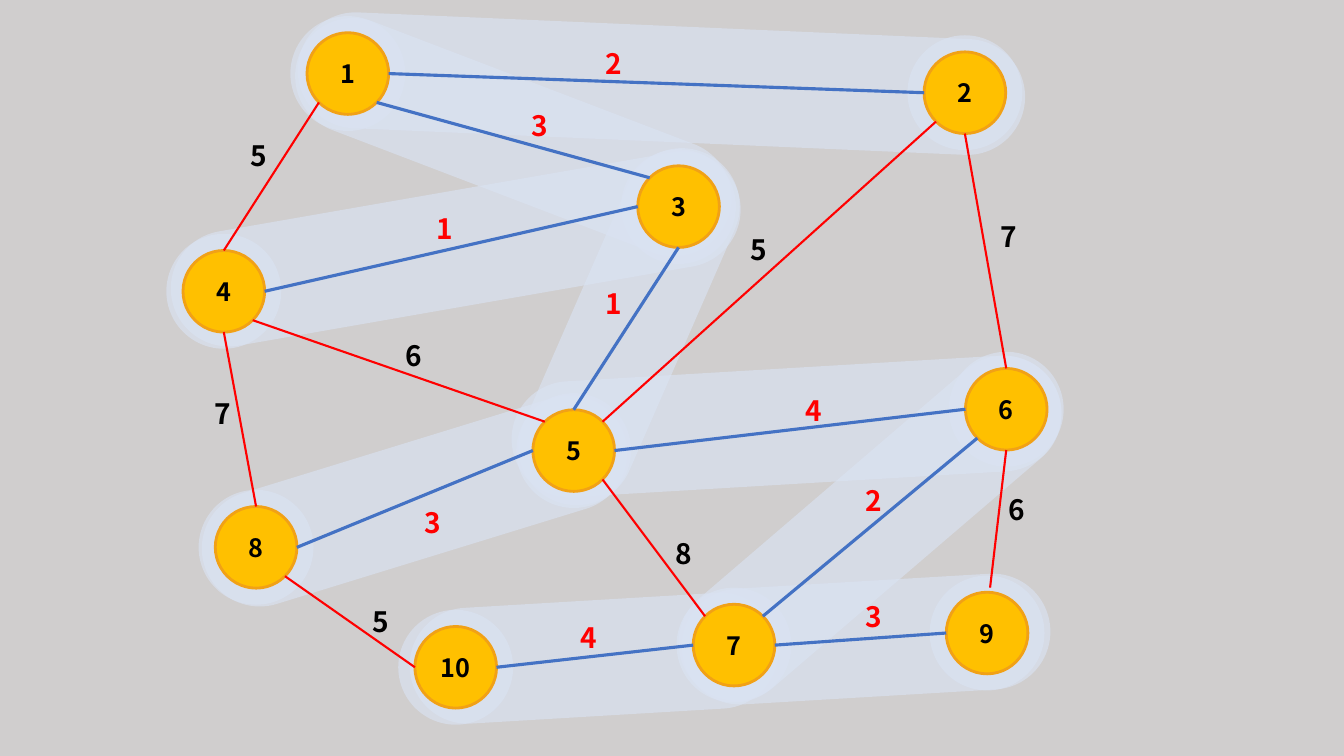
import math
from dataclasses import dataclass

from lxml import etree
from pptx import Presentation
from pptx import util as u
from pptx.dml.color import RGBColor
from pptx.enum import shapes, text
from pptx.oxml.ns import qn


@dataclass(frozen=True)
class Theme:
    background: str = "D0CECE"
    band: str = "DAE3F3"
    band_opacity: int = 63
    node: str = "FFC000"
    node_edge: str = "F1A116"
    tree: str = "4472C4"
    other: str = "FF0000"
    tree_weight: str = "FF0000"
    dark: str = "000000"
    font: str = "Noto Sans CJK KR"
    node_size: float = 18
    weight_size: float = 20


@dataclass(frozen=True)
class Box:
    left: float
    top: float
    width: float
    height: float

    def inside(self, left, top, width, height):
        """Lengths of a part whose corner is measured from this box."""
        return [u.Inches(n) for n in (self.left + left, self.top + top, width, height)]


THEME = Theme()
NODE, HALO, BAND = 0.81, 1.14, 1.15

# Centre of each node
NODES = {
    1: (3.45, 0.73), 2: (9.57, 0.92), 7: (7.28, 6.4), 10: (4.52, 6.62),
    6: (9.98, 4.06), 5: (5.69, 4.47), 4: (2.22, 2.89), 8: (2.54, 5.43),
    9: (9.79, 6.28), 3: (6.73, 2.05),
}

# Band: centre x, centre y, length, rotation, nodes given a halo above it
BANDS = [
    (5.89, 6.53, 3.66, 86.6, [10]),
    (8.59, 6.34, 3.66, 86.6, [9]),
    (8.63, 5.24, 4.64, 229.4, [7]),
    (7.8, 4.23, 5.46, 86.6, [6]),
    (4.11, 4.97, 4.36, 72.9, [8]),
    (6.56, 0.83, 7.22, 92.5, [2]),
    (5.09, 1.36, 4.55, 110.9, [1]),
    (4.52, 2.47, 5.72, 80.1, [4]),
    (6.24, 3.24, 3.76, 203.6, [5, 3]),
]

# Edge: node, side, node, side, weight, weight left, weight top, in tree
EDGES = [
    (4, "n", 1, "sw", 5, 2.39, 1.32, False),
    (3, "nw", 1, "se", 3, 5.17, 1.03, True),
    (2, "w", 1, "e", 2, 5.91, 0.41, True),
    (2, "s", 6, "n", 7, 9.82, 2.13, False),
    (2, "sw", 5, "ne", 5, 7.35, 2.26, False),
    (3, "s", 5, "n", 1, 5.91, 2.79, True),
    (3, "w", 4, "e", 1, 4.23, 2.05, True),
    (4, "s", 8, "n", 7, 2.03, 3.88, False),
    (5, "w", 8, "e", 3, 4.11, 4.97, True),
    (5, "nw", 4, "se", 6, 3.92, 3.31, False),
    (5, "se", 7, "nw", 8, 6.6, 5.27, False),
    (6, "w", 5, "e", 4, 7.89, 3.85, True),
    (9, "n", 6, "s", 6, 9.9, 4.84, False),
    (6, "sw", 7, "ne", 2, 8.49, 4.75, True),
    (10, "e", 7, "w", 4, 5.66, 6.11, True),
    (10, "w", 8, "se", 5, 3.6, 5.95, False),
    (9, "w", 7, "e", 3, 8.49, 5.9, True),
]
SIDES = ["e", "se", "s", "sw", "w", "nw", "n", "ne"]
LOOSE_ENDS = {(9, "n"): (9.82, 5.83)}


def rgb(value):
    return RGBColor.from_string(value)


def apply_format(target, values):
    for name, value in values.items():
        setattr(target, name, value)


def write(frame, content, size, color, align):
    para = frame.paragraphs[0]
    para.alignment = align
    span = para.add_run()
    span.text = str(content)
    apply_format(span.font, {"name": THEME.font, "size": u.Pt(size), "bold": True})
    span.font.color.rgb = rgb(color)


def add_filled(page, box, kind, center, width, height, color):
    x, y = center
    place = box.inside(x - width / 2, y - height / 2, width, height)
    shape = page.shapes.add_shape(kind, *place)
    shape.shadow.inherit = False
    shape.fill.solid()
    shape.fill.fore_color.rgb = rgb(color)
    return shape


def add_translucent(page, box, kind, center, width, height):
    shape = add_filled(page, box, kind, center, width, height, THEME.band)
    shape.line.fill.background()
    color = shape.fill._xPr.find(".//" + qn("a:srgbClr"))
    etree.SubElement(color, qn("a:alpha")).set("val", str(THEME.band_opacity * 1000))
    return shape


def draw_bands(page, box):
    for x, y, length, rotation, haloed in BANDS:
        band = add_translucent(page, box, shapes.MSO_SHAPE.ROUNDED_RECTANGLE,
                               (x, y), BAND, length)
        band.adjustments[0] = 0.5
        band.rotation = rotation
        for node in haloed:
            add_translucent(page, box, shapes.MSO_SHAPE.OVAL, NODES[node], HALO, HALO)


def draw_nodes(page, box):
    for number, center in NODES.items():
        node = add_filled(page, box, shapes.MSO_SHAPE.OVAL, center, NODE, NODE, THEME.node)
        node.line.color.rgb = rgb(THEME.node_edge)
        node.line.width = u.Pt(2)
        node.text_frame.vertical_anchor = text.MSO_ANCHOR.MIDDLE
        write(node.text_frame, number, THEME.node_size, THEME.dark, text.PP_ALIGN.CENTER)


def port(box, node, side):
    """Point on the rim of a node, at one of eight compass sides."""
    x, y = NODES[node]
    angle = SIDES.index(side) * math.pi / 4
    rim = (x + NODE / 2 * math.cos(angle), y + NODE / 2 * math.sin(angle))
    x, y = LOOSE_ENDS.get((node, side), rim)
    return u.Inches(box.left + x), u.Inches(box.top + y)


def draw_edges(page, box):
    for first, first_side, second, second_side, weight, left, top, in_tree in EDGES:
        # Line
        edge = page.shapes.add_connector(shapes.MSO_CONNECTOR.STRAIGHT,
                                         *port(box, first, first_side),
                                         *port(box, second, second_side))
        edge.line.color.rgb = rgb(THEME.tree if in_tree else THEME.other)
        edge.line.width = u.Pt(2.25 if in_tree else 1.5)
        etree.SubElement(edge._element.spPr, qn("a:effectLst"))

        # Weight
        label = page.shapes.add_textbox(*box.inside(left, top, 0.36, 0.44))
        apply_format(label.text_frame, {"word_wrap": False,
                                        "auto_size": text.MSO_AUTO_SIZE.SHAPE_TO_FIT_TEXT})
        write(label.text_frame, weight, THEME.weight_size,
              THEME.tree_weight if in_tree else THEME.dark, text.PP_ALIGN.LEFT)


def draw_graph(page, box):
    draw_bands(page, box)
    draw_nodes(page, box)
    draw_edges(page, box)


def main():
    deck = Presentation()
    apply_format(deck, {"slide_width": u.Inches(13.33), "slide_height": u.Inches(7.5)})
    page = deck.slides.add_slide(deck.slide_layouts[6])
    page.background.fill.solid()
    page.background.fill.fore_color.rgb = rgb(THEME.background)
    draw_graph(page, Box(0, 0, 13.33, 7.5))
    deck.save("out.pptx")


if __name__ == "__main__":
    main()
